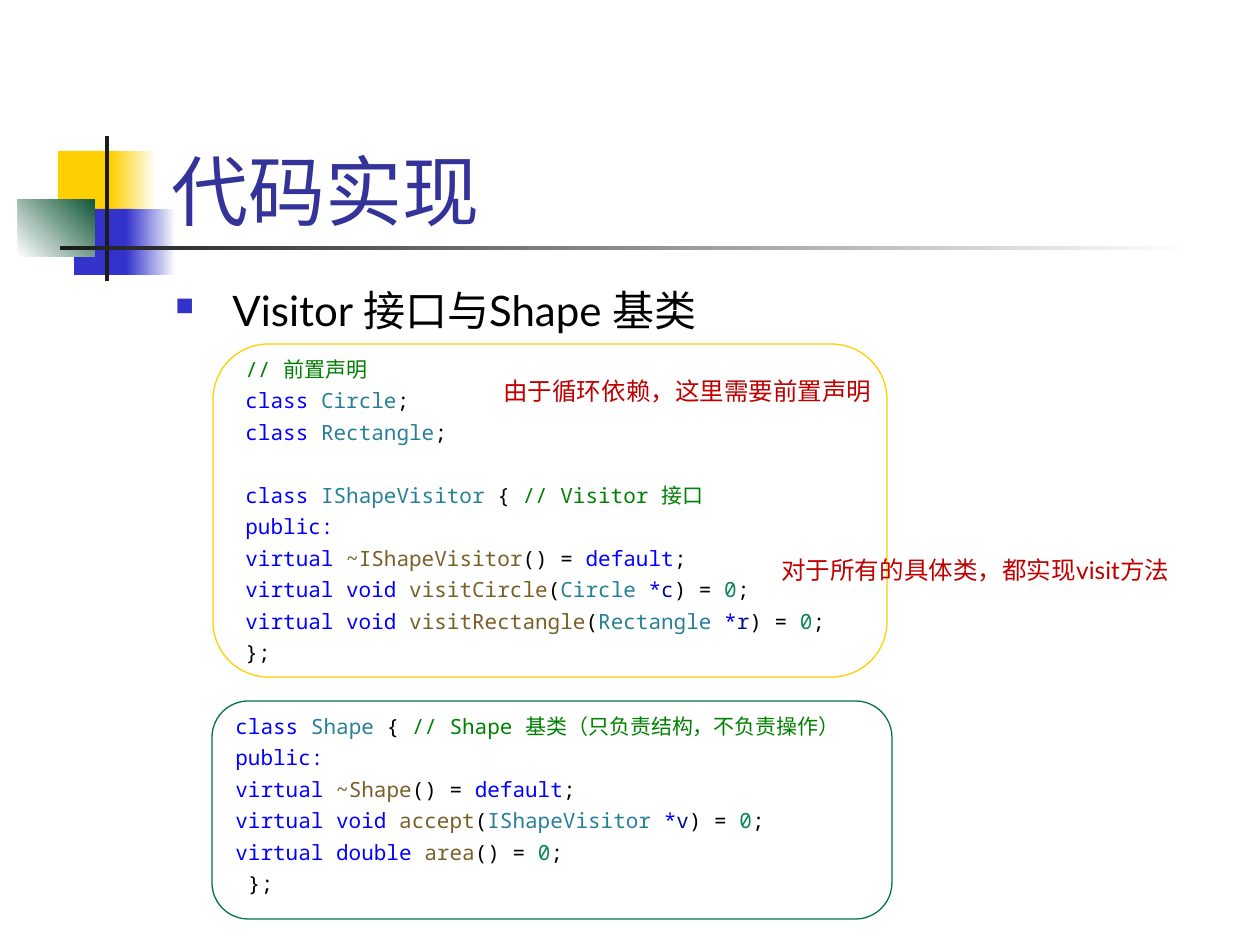
"""Build the slide on the Visitor interface and the Shape base class."""
from lxml import etree
from pptx import Presentation, util as u
from pptx.dml.color import RGBColor
from pptx.enum import shapes, text
from pptx.oxml.ns import qn

PX = u.Inches(1) / 126
SANS, MONO = "Lato", "Noto Sans Mono"
HUES = {
    "gold": "FFCF01", "blue": "3333CC", "green": "105637", "dark": "1C1C1C",
    "white": "FFFFFF", "title": "333399", "teal": "007254", "red": "C00000",
    "plain": "000000", "note": "008000", "key": "0000FF", "type": "267F99",
    "func": "795E26", "name": "001080", "num": "098658",
}

DECOR = [
    ((58, 151, 60, 66), ["gold"], 0),
    ((111, 151, 45, 66), ["gold", "white"], 0),
    ((74, 209, 58, 66), ["blue"], 0),
    ((126, 209, 50, 66), ["blue", "white"], 0),
    ((18, 199, 77, 58), ["white", "green"], 45),
    ((105, 136, 4, 145), ["dark"], 0),
    ((60, 246, 1134, 4), ["dark", "white"], 0),
]
TITLE = "代码实现"
POINT = "Visitor 接口与Shape 基类"
REMARKS = [
    ((491, 373, 402, 39), "由于循环依赖，这里需要前置声明"),
    ((769, 552, 467, 39), "对于所有的具体类，都实现visit方法"),
]
FRAMES = [((213, 344, 674, 333), "gold"), ((212, 701, 680, 218), "teal")]

PUBLIC = [("key", "public:")]
ZERO = [("plain", ") = "), ("num", "0"), ("plain", ";")]


def forward(name):
    return [("key", "class "), ("type", name), ("plain", ";")]


def header(name, note):
    return [("key", "class "), ("type", name), ("plain", " { "), ("note", note)]


def dtor(name):
    return [("key", "virtual "), ("func", "~" + name), ("plain", "() = "),
            ("key", "default"), ("plain", ";")]


def method(func, kind, arg):
    return [("key", "virtual void "), ("func", func), ("plain", "("),
            ("type", kind + " "), ("key", "*"), ("name", arg)] + ZERO


VISITOR = [
    [("note", "// 前置声明")],
    forward("Circle"),
    forward("Rectangle"),
    header("IShapeVisitor", "// Visitor 接口"),
    PUBLIC,
    dtor("IShapeVisitor"),
    method("visitCircle", "Circle", "c"),
    method("visitRectangle", "Rectangle", "r"),
    [("plain", "};")],
]
SHAPE = [
    header("Shape", "// Shape 基类（只负责结构，不负责操作）"),
    PUBLIC,
    dtor("Shape"),
    method("accept", "IShapeVisitor", "v"),
    [("key", "virtual double "), ("func", "area"), ("plain", "() = "),
     ("num", "0"), ("plain", ";")],
    [("plain", " };")],
]
CODE = [((233, 344, 701, 328), VISITOR, 3), ((223, 701, 701, 202), SHAPE, None)]


def rgb(hue):
    return RGBColor.from_string(HUES[hue])


def scale(box):
    return [round(n * PX) for n in box]


def style(font, face, size, hue):
    font.name, font.size = face, u.Pt(size)
    font.color.rgb = rgb(hue)


def add_box(slide, box):
    frame = slide.shapes.add_textbox(*scale(box)).text_frame
    frame.word_wrap = True
    return frame


def add_line(slide, box, words, size, hue):
    frame = add_box(slide, box)
    frame.text = words
    para = frame.paragraphs[0]
    style(para.runs[0].font, SANS, size, hue)
    return frame, para


def add_decor(slide, box, hues, angle):
    item = slide.shapes.add_shape(shapes.MSO_SHAPE.RECTANGLE, *scale(box))
    item.shadow.inherit = False
    item.line.fill.background()
    if len(hues) == 1:
        item.fill.solid()
        item.fill.fore_color.rgb = rgb(hues[0])
        return
    item.fill.gradient()
    item.fill.gradient_angle = angle
    for stop, hue in zip(item.fill.gradient_stops, hues):
        stop.color.rgb = rgb(hue)


def add_bullet(para, indent):
    props = para._p.get_or_add_pPr()
    props.set("marL", str(indent))
    props.set("indent", str(-indent))
    color = etree.SubElement(props, qn("a:buClr"))
    etree.SubElement(color, qn("a:srgbClr"), val=HUES["blue"])
    etree.SubElement(props, qn("a:buSzPct"), val="60000")
    etree.SubElement(props, qn("a:buChar"), char="■")


def add_code(slide, box, lines, gap):
    frame = add_box(slide, box)
    for i, line in enumerate(lines):
        para = frame.add_paragraph() if i else frame.paragraphs[0]
        para.line_spacing = u.Pt(18)
        if i == gap:
            para.space_before = u.Pt(18)
        for hue, words in line:
            run = para.add_run()
            run.text = words
            style(run.font, MONO, 12, hue)


def add_frame(slide, box, hue):
    item = slide.shapes.add_shape(shapes.MSO_SHAPE.ROUNDED_RECTANGLE, *scale(box))
    item.shadow.inherit = False
    item.fill.background()
    item.line.color.rgb = rgb(hue)
    item.line.width = u.Pt(0.75)


def main():
    deck = Presentation()
    deck.slide_width, deck.slide_height = u.Inches(10), u.Inches(7.5)
    slide = deck.slides.add_slide(deck.slide_layouts[6])
    for row in DECOR:
        add_decor(slide, *row)
    frame, para = add_line(slide, (159, 84, 1074, 158), TITLE, 44, "title")
    frame.vertical_anchor = text.MSO_ANCHOR.BOTTOM
    frame, para = add_line(slide, (163, 278, 1071, 644), POINT, 24, "plain")
    add_bullet(para, round(57 * PX))
    for row in CODE:
        add_code(slide, *row)
    for row in FRAMES:
        add_frame(slide, *row)
    for box, words in REMARKS:
        frame, para = add_line(slide, box, words, 14, "red")
        para.line_spacing = 0.9
    deck.save("out.pptx")


if __name__ == "__main__":
    main()
